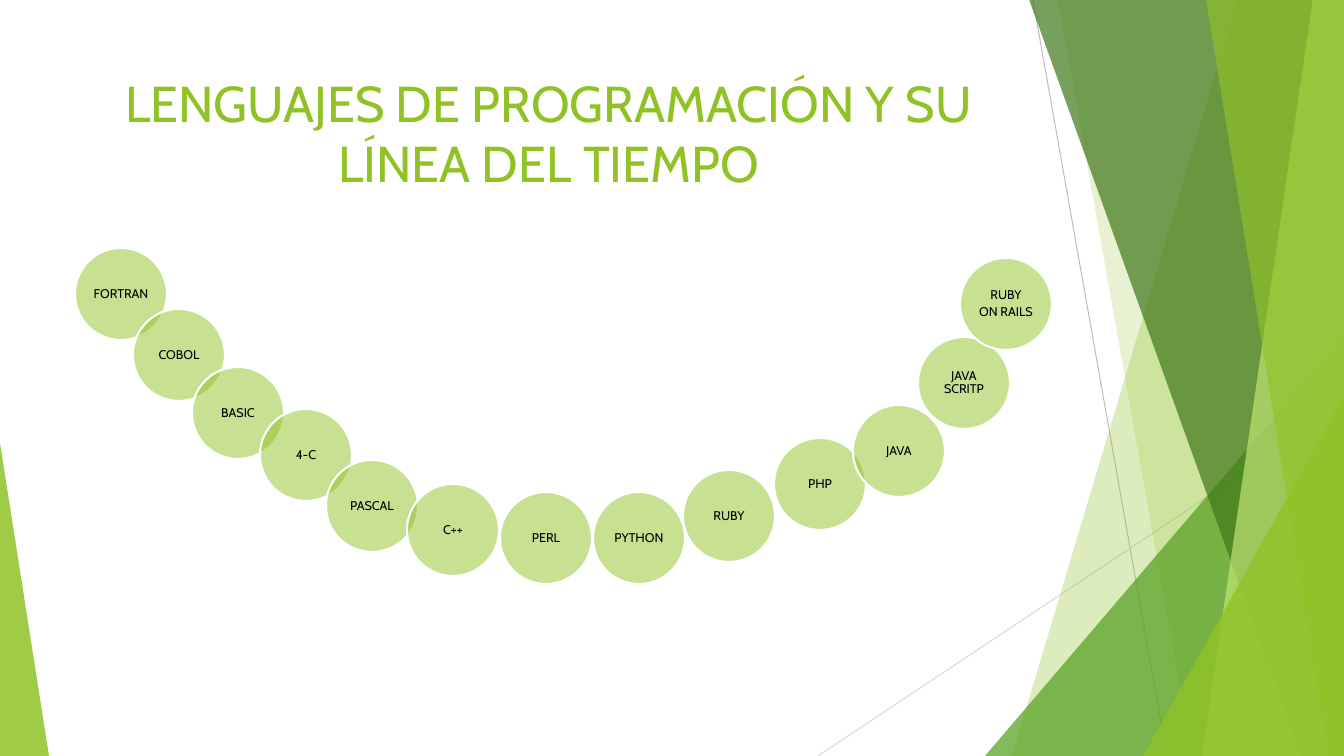
from pptx import Presentation
from pptx.dml.color import RGBColor
from pptx.enum.shapes import MSO_CONNECTOR, MSO_SHAPE
from pptx.enum.text import MSO_ANCHOR, PP_ALIGN
from pptx.oxml.ns import qn
from pptx.util import Emu, Pt
from lxml.etree import SubElement

SLIDE_WIDTH, SLIDE_HEIGHT = 1344, 756
EMU_PER_PX = 12192000 / SLIDE_WIDTH
GREEN = "90C226"
FONT = "Cabin"
CIRCLE_SIZE = 92

LINES = [
    ((215, 0), (349, 756), "BFBFBF"),
    ((526, 406), (0, 756), "D9D9D9"),
]
FACETS = [
    ("band", 420, 194, GREEN, 30),
    ("band", 240, 374, GREEN, 20),
    ("triangle", 167, 336, "54A021", 72),
    ("band", 211, 483, "3F7819", 70),
    ("band", 495, 384, "C0E474", 70),
    ("band", 388, 511, GREEN, 65),
    ("triangle", 325, 396, GREEN, 80),
]
LANGUAGES = [
    (["FORTRAN"], 0, 0),
    (["COBOL"], 58, 61),
    (["BASIC"], 117, 119),
    (["4-C"], 185, 161),
    (["PASCAL"], 251, 212),
    (["C++"], 332, 236),
    (["PERL"], 425, 244),
    (["PYTHON"], 518, 244),
    (["RUBY"], 608, 222),
    (["PHP"], 699, 190),
    (["JAVA"], 778, 157),
    (["JAVA SCRITP"], 843, 89),
    (["RUBY", "ON RAILS"], 885, 10),
]


def px(length):
    return Emu(round(length * EMU_PER_PX))


def color(value):
    return RGBColor.from_string(value)


def paint(shape, fill, alpha, line=None):
    shape.shadow.inherit = False
    shape.fill.solid()
    shape.fill.fore_color.rgb = color(fill)
    tint = shape.fill._xPr.find(qn("a:solidFill"))[0]
    SubElement(tint, qn("a:alpha"), val=str(alpha * 1000))
    if line:
        shape.line.color.rgb = color(line)
        shape.line.width = Pt(1.5)
    else:
        shape.line.fill.background()


def write_text(shape, lines, size, ink, anchor, margins, spacing=1.0, after=0):
    frame = shape.text_frame
    frame.word_wrap = True
    frame.vertical_anchor = anchor
    frame.margin_left = frame.margin_right = px(margins[0])
    frame.margin_top = frame.margin_bottom = px(margins[1])
    for index, line in enumerate(lines):
        paragraph = frame.add_paragraph() if index else frame.paragraphs[0]
        paragraph.alignment = PP_ALIGN.CENTER
        paragraph.line_spacing = spacing
        paragraph.space_after = Pt(after)
        run = paragraph.add_run()
        run.text = line
        run.font.name = FONT
        run.font.size = Pt(size)
        run.font.color.rgb = color(ink)


def add_line(slide, start, end, ink):
    line = slide.shapes.add_connector(
        MSO_CONNECTOR.STRAIGHT, *map(px, (*start, *end)))
    line.line.color.rgb = color(ink)
    line.line.width = Pt(0.75)
    SubElement(line._element.spPr, qn("a:effectLst"))


def add_triangle(slide, box, apex, fill, alpha):
    triangle = slide.shapes.add_shape(
        MSO_SHAPE.ISOSCELES_TRIANGLE, *map(px, box))
    triangle.adjustments[0] = apex
    paint(triangle, fill, alpha)


def add_band(slide, points, fill, alpha):
    builder = slide.shapes.build_freeform(*points[0], scale=EMU_PER_PX)
    builder.add_line_segments(points[1:], close=True)
    paint(builder.convert_to_shape(), fill, alpha)


def draw_right_panel(slide, left, top, width, height):
    right, bottom = left + width, top + height
    for (x1, y1), (x2, y2), ink in LINES:
        add_line(slide, (left + x1, top + y1), (left + x2, top + y2), ink)
    for kind, first, second, fill, alpha in FACETS:
        if kind == "triangle":
            box = (left + first, top + second, width - first, height - second)
            add_triangle(slide, box, 1, fill, alpha)
        else:
            points = [(left + first, top - 1), (right, top - 1),
                      (right, bottom), (left + second, bottom)]
            add_band(slide, points, fill, alpha)


def draw_title(slide, left, top, width, height):
    title = slide.shapes.add_textbox(*map(px, (left, top, width, height)))
    write_text(title, ["LENGUAJES DE PROGRAMACIÓN Y SU LÍNEA DEL TIEMPO"],
               size=36, ink=GREEN, anchor=MSO_ANCHOR.TOP, margins=(10, 5))


def draw_timeline(slide, left, top):
    for lines, x, y in LANGUAGES:
        circle = slide.shapes.add_shape(
            MSO_SHAPE.OVAL,
            *map(px, (left + x, top + y, CIRCLE_SIZE, CIRCLE_SIZE)))
        paint(circle, GREEN, 50, line="FFFFFF")
        write_text(circle, lines, size=9, ink="000000",
                   anchor=MSO_ANCHOR.MIDDLE, margins=(4, 1),
                   spacing=0.9, after=3)


def main():
    presentation = Presentation()
    presentation.slide_width = px(SLIDE_WIDTH)
    presentation.slide_height = px(SLIDE_HEIGHT)
    slide = presentation.slides.add_slide(presentation.slide_layouts[6])
    draw_right_panel(slide, 818, 0, 526, SLIDE_HEIGHT)
    add_triangle(slide, (0, 443, 49, 313), 0, GREEN, 85)
    draw_title(slide, 75, 67, 947, 145)
    draw_timeline(slide, 75, 248)
    presentation.save("out.pptx")


if __name__ == "__main__":
    main()
